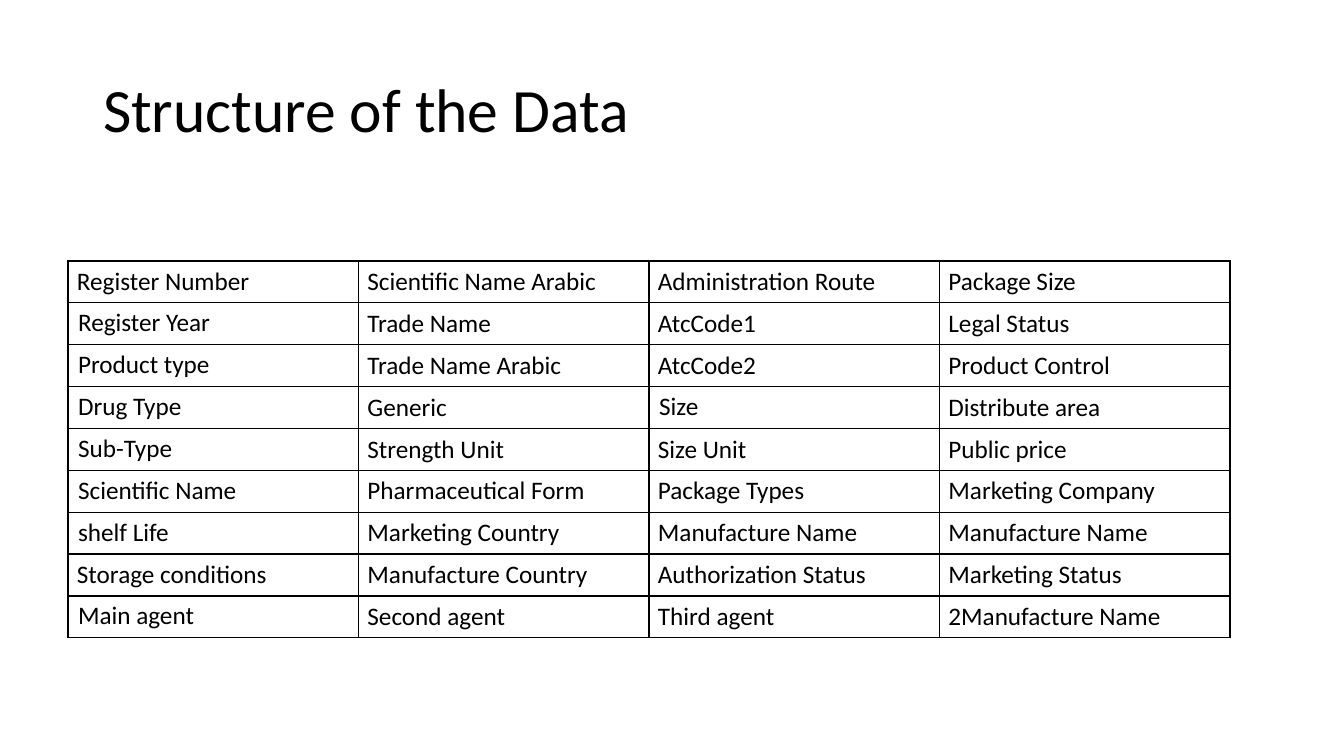
from lxml import etree
from pptx import Presentation
from pptx.dml.color import RGBColor
from pptx.enum.text import MSO_ANCHOR, PP_ALIGN
from pptx.oxml.ns import qn
from pptx.util import Emu, Pt

LEFT = PP_ALIGN.LEFT
TOP, MIDDLE = MSO_ANCHOR.TOP, MSO_ANCHOR.MIDDLE
TITLE_ONLY = 5

FIELDS = [
    ["Register Number", "Scientific Name Arabic", "Administration Route", "Package Size"],
    ["Register Year", "Trade Name", "AtcCode1", "Legal Status"],
    ["Product type", "Trade Name Arabic", "AtcCode2", "Product Control"],
    ["Drug Type", "Generic", "Size", "Distribute area"],
    ["Sub-Type", "Strength Unit", "Size Unit", "Public price"],
    ["Scientific Name", "Pharmaceutical Form", "Package Types", "Marketing Company"],
    ["shelf Life", "Marketing Country", "Manufacture Name", "Manufacture Name"],
    ["Storage conditions", "Manufacture Country", "Authorization Status", "Marketing Status"],
    ["Main agent", "Second agent", "Third agent", "2Manufacture Name"],
]
TOP_ANCHORED = {"Register Year", "Product type", "Drug Type", "Sub-Type",
                "Scientific Name", "shelf Life", "Main agent", "Size"}


def px(count):
    return Emu(round(count * 914400 / 100.8))


def color(value):
    return RGBColor.from_string(value)


class SlideBuilder:
    font = "Calibri"
    ink = "000000"

    def __init__(self, presentation):
        self.slide = presentation.slides.add_slide(presentation.slide_layouts[TITLE_ONLY])

    def add_text(self, paragraph, text, size):
        paragraph.alignment = LEFT
        run = paragraph.add_run()
        run.text = text
        run.font.name = self.font
        run.font.size = Pt(size)
        run.font.color.rgb = color(self.ink)

    def title(self, text, left, top, width, height):
        shape = self.slide.shapes.title
        shape.left, shape.top = px(left), px(top)
        shape.width, shape.height = px(width), px(height)
        shape.text_frame.vertical_anchor = MIDDLE
        paragraph = shape.text_frame.paragraphs[0]
        paragraph.line_spacing = 0.9
        self.add_text(paragraph, text, 44)

    def border(self, cell):
        properties = cell._tc.get_or_add_tcPr()
        for index, side in enumerate(("a:lnL", "a:lnR", "a:lnT", "a:lnB")):
            line = etree.Element(qn(side), w=str(Pt(1)))
            fill = etree.SubElement(line, qn("a:solidFill"))
            etree.SubElement(fill, qn("a:srgbClr"), val=self.ink)
            properties.insert(index, line)

    def cell(self, cell, text):
        cell.fill.background()
        self.border(cell)
        if text in TOP_ANCHORED:
            cell.vertical_anchor = TOP
        else:
            cell.vertical_anchor = MIDDLE
            cell.margin_left = cell.margin_right = px(9)
            cell.margin_top = cell.margin_bottom = px(4)
        self.add_text(cell.text_frame.paragraphs[0], text, 18)

    def table(self, rows, left, top, width, height):
        frame = self.slide.shapes.add_table(len(rows), len(rows[0]), px(left), px(top),
                                            px(width), px(height))
        table = frame.table
        table.first_row = table.horz_banding = False
        for row_index, row in enumerate(rows):
            for column_index, text in enumerate(row):
                self.cell(table.cell(row_index, column_index), text)


def main():
    presentation = Presentation()
    presentation.slide_width, presentation.slide_height = px(1344), px(756)
    builder = SlideBuilder(presentation)
    builder.title("Structure of the Data", 93, 40, 1159, 146)
    builder.table(FIELDS, 68, 261, 1162, 377)
    presentation.save("out.pptx")


if __name__ == "__main__":
    main()
